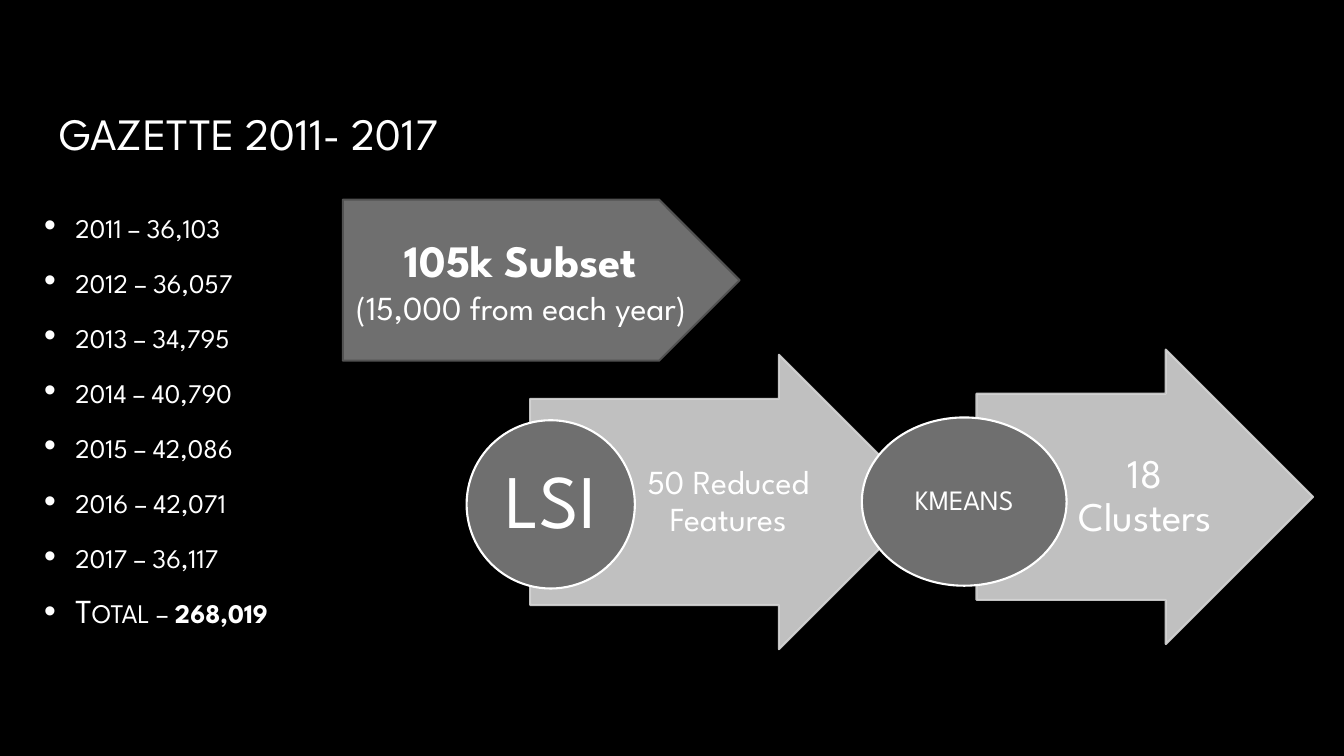
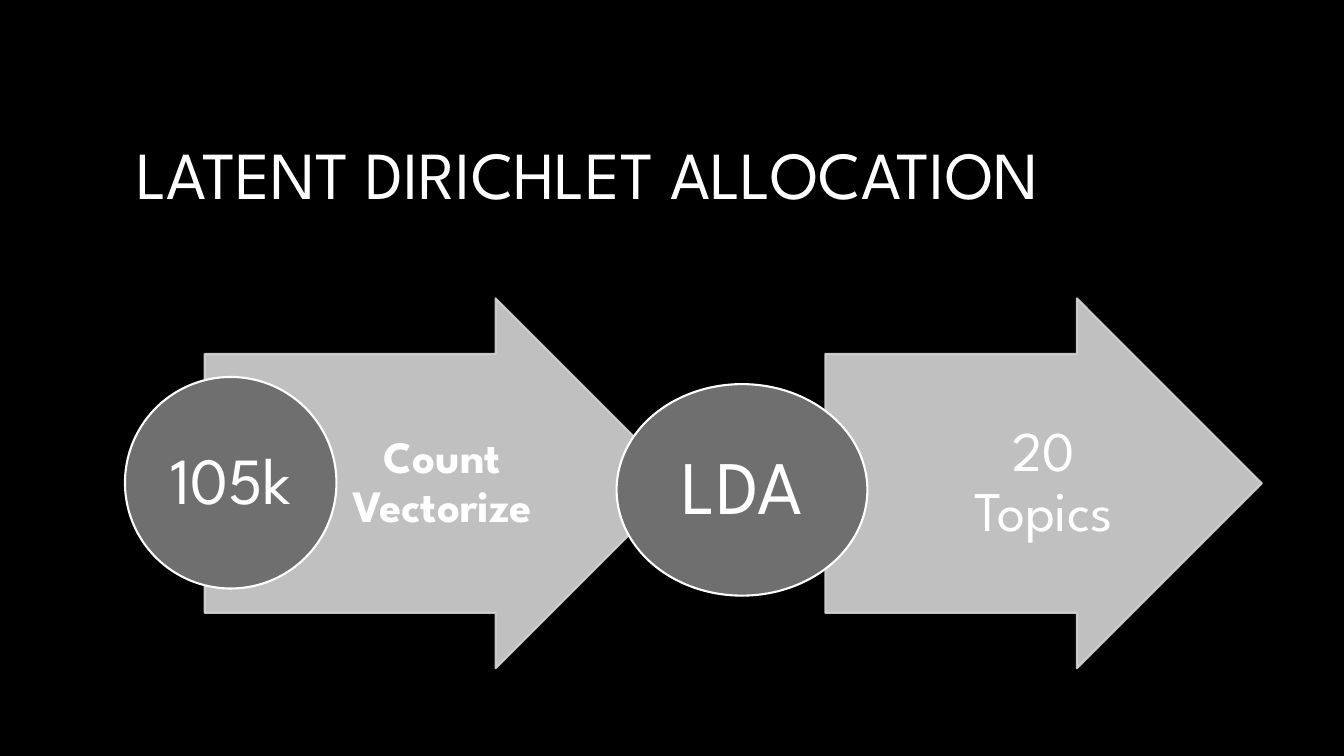
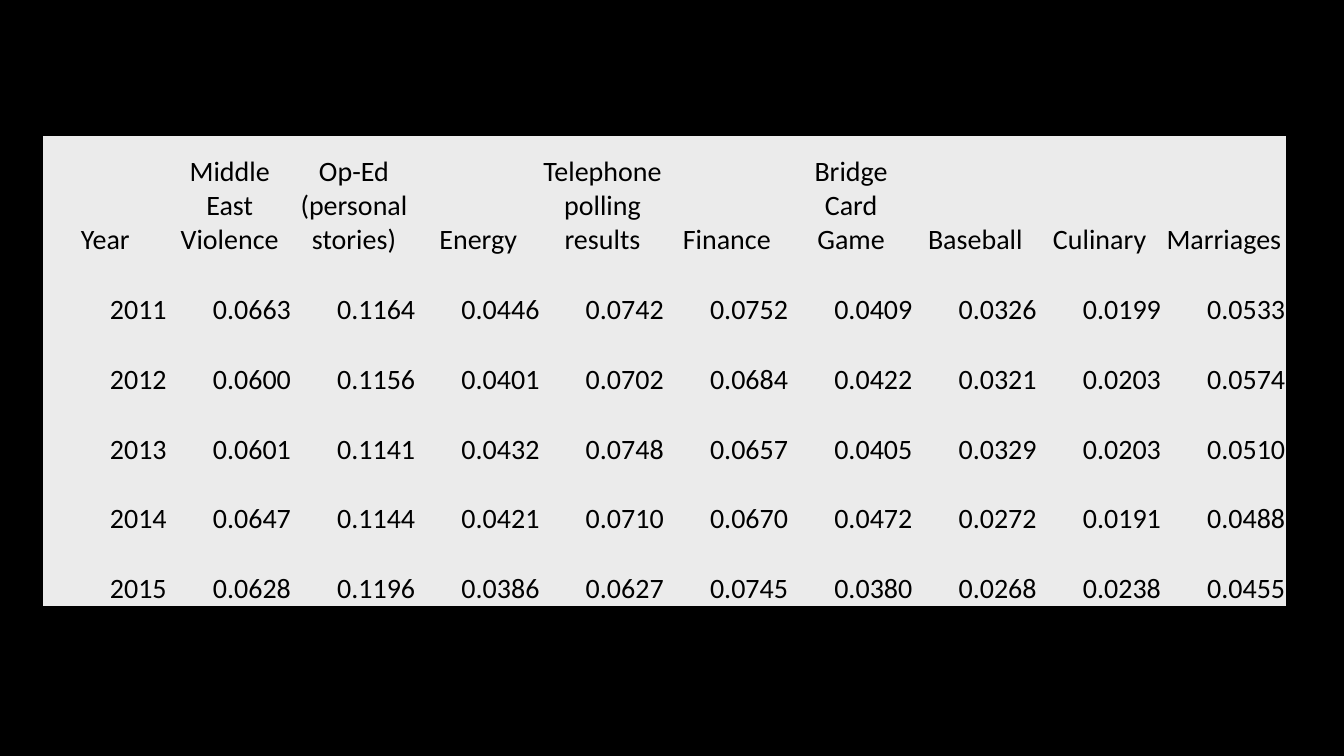
from lxml import etree
from pptx import Presentation
from pptx import util as u
from pptx.dml.color import RGBColor
from pptx.enum import shapes, text
from pptx.oxml.ns import qn

COLORS = {"bg": "000000", "text": "FFFFFF", "dark": "6F6F6F", "edge": "525252",
          "arrow": "D5D5D5", "cell": "EBEBEB", "cell_text": "000000"}
C = {name: RGBColor.from_string(value) for name, value in COLORS.items()}
FONT = "League Spartan"
SHAPE = shapes.MSO_SHAPE
CENTER, RIGHT = text.PP_ALIGN.CENTER, text.PP_ALIGN.RIGHT
NO_STYLE = "{2D5ABB26-0587-4C30-8999-92F81FD0307C}"


def write(tf, lines, align=None, spacing=None, margins=None):
    """Fill a text frame; each line is a list of (text, size, bold) runs."""
    frame = {"word_wrap": True, "vertical_anchor": text.MSO_ANCHOR.MIDDLE}
    if margins:
        sides = ("margin_left", "margin_top", "margin_right", "margin_bottom")
        frame.update(zip(sides, map(u.Cm, margins)))
    for name, value in frame.items():
        setattr(tf, name, value)
    for i, runs in enumerate(lines):
        p = tf.paragraphs[0] if i == 0 else tf.add_paragraph()
        p.alignment, p.line_spacing = align, spacing
        for words, size, bold in runs:
            r = p.add_run()
            r.text = words
            for name, value in {"name": FONT, "size": u.Pt(size), "bold": bold}.items():
                setattr(r.font, name, value)
            r.font.color.rgb = C["text"]


def add_shape(s, kind, box, fill, line, alpha=None):
    """Add a filled and outlined preset shape, see-through if alpha is given."""
    sp = s.shapes.add_shape(kind, *map(u.Cm, box))
    sp.shadow.inherit = False
    sp.line.width = u.Pt(1.5)
    for paint, color in ((sp.fill, fill), (sp.line.fill, line)):
        paint.solid()
        paint.fore_color.rgb = C[color]
    if alpha:
        for clr in sp._element.spPr.iter(qn("a:srgbClr")):
            etree.SubElement(clr, qn("a:alpha")).set("val", str(alpha * 1000))
    return sp


prs = Presentation()
prs.slide_width, prs.slide_height = u.Cm(33.87), u.Cm(19.05)

# Titles, and steps as (arrow box, label, size, bold), (circle box, label, size)
decks = [
    {"title": ("GAZETTE 2011- 2017", 32, 1.24, 0.69),
     "steps": [
         ((13.36, 8.94, 9.98, 7.42), "50 Reduced Features", 24, False,
          (11.76, 10.59, 4.24, 4.24), "LSI", 54),
         ((24.61, 8.81, 8.48, 7.42), "18 Clusters", 29, False,
          (21.72, 10.52, 5.16, 4.24), "KMEANS", 20)]},
    {"title": ("LATENT DIRICHLET ALLOCATION", 48, 3.18, 1.7),
     "steps": [
         ((5.16, 7.52, 11.99, 9.32), "Count Vectorize", 32, True,
          (3.15, 9.5, 5.33, 5.33), "105k", 47),
         ((20.8, 7.52, 11, 9.32), "20 Topics", 40, False,
          (15.54, 9.68, 6.32, 5.33), "LDA", 54)]},
    {},
]

slides = []
for deck in decks:
    s = prs.slides.add_slide(prs.slide_layouts[6])
    s.background.fill.solid()
    s.background.fill.fore_color.rgb = C["bg"]
    slides.append(s)
    if "title" in deck:
        words, size, left, top = deck["title"]
        box = s.shapes.add_textbox(*map(u.Cm, (left, top, 27.5, 5.28)))
        write(box.text_frame, [[(words, size, False)]])
    for arrow, label, size, bold, circle, name, name_size in deck.get("steps", []):
        sp = add_shape(s, SHAPE.RIGHT_ARROW, arrow, "arrow", "arrow", 90)
        sp.adjustments[0], sp.adjustments[1] = 0.7, 0.5
        # The label covers the shaft, right of the circle
        x, y, w, h = arrow
        box = s.shapes.add_textbox(*map(u.Cm, (x + w / 4, y + 0.15 * h, 0.49 * w, 0.7 * h)))
        write(box.text_frame, [[(label, size, bold)]], CENTER, 0.9, (0.2, 0.05, 0.1, 0.05))
        sp = add_shape(s, SHAPE.OVAL, circle, "dark", "text")
        write(sp.text_frame, [[(name, name_size, False)]], CENTER, 0.9, (0.08,) * 4)

# Slide 1: article counts per year
counts = {"2011": "36,103", "2012": "36,057", "2013": "34,795", "2014": "40,790",
          "2015": "42,086", "2016": "42,071", "2017": "36,117"}
lines = [[(f"{year} – {count}", 24, False)] for year, count in counts.items()]
lines.append([("Total – ", 24, False), ("268,019", 24, True)])
tf = slides[0].shapes.add_textbox(*map(u.Cm, (0.86, 4.78, 8.26, 11.5))).text_frame
write(tf, lines)
for i, p in enumerate(tf.paragraphs):
    p.space_before, p.space_after = u.Pt(4.5 if i else 0), u.Pt(6)
    pPr = p._p.get_or_add_pPr()
    pPr.set("marL", str(u.Cm(0.79)))
    pPr.set("indent", str(-u.Cm(0.79)))
    etree.SubElement(pPr, qn("a:buFont")).set("typeface", "Arial")
    etree.SubElement(pPr, qn("a:buChar")).set("char", "•")
    for r in p.runs:
        r._r.get_or_add_rPr().set("cap", "small")

# Slide 1: sampled subset
sp = add_shape(slides[0], SHAPE.PENTAGON, (8.64, 5.03, 10, 4.06), "dark", "edge")
write(sp.text_frame, [[("105k Subset", 32, True)],
                      [("(15,000 from each year)", 24, False)]], CENTER)

# Slide 3: topic shares per year
rows = [
    ["Year", "Middle East Violence", "Op-Ed (personal stories)", "Energy",
     "Telephone polling results", "Finance", "Bridge Card Game", "Baseball",
     "Culinary", "Marriages"],
    "2011 0.0663 0.1164 0.0446 0.0742 0.0752 0.0409 0.0326 0.0199 0.0533".split(),
    "2012 0.0600 0.1156 0.0401 0.0702 0.0684 0.0422 0.0321 0.0203 0.0574".split(),
    "2013 0.0601 0.1141 0.0432 0.0748 0.0657 0.0405 0.0329 0.0203 0.0510".split(),
    "2014 0.0647 0.1144 0.0421 0.0710 0.0670 0.0472 0.0272 0.0191 0.0488".split(),
    "2015 0.0628 0.1196 0.0386 0.0627 0.0745 0.0380 0.0268 0.0238 0.0455".split(),
]
frame = slides[2].shapes.add_table(len(rows), len(rows[0]),
                                   *map(u.Cm, (1.09, 3.43, 31.32, 11.86)))
table = frame.table
table.first_row = table.horz_banding = False
table._tbl.tblPr.find(qn("a:tableStyleId")).text = NO_STYLE
cell_format = {"margin_left": u.Cm(0.02), "margin_top": u.Cm(0.02),
               "margin_right": u.Cm(0.02), "margin_bottom": 0,
               "vertical_anchor": text.MSO_ANCHOR.BOTTOM}
for i, row in enumerate(rows):
    table.rows[i].height = u.Cm(1.76 if i else 3.05)
    for j, value in enumerate(row):
        cell = table.cell(i, j)
        for name, setting in cell_format.items():
            setattr(cell, name, setting)
        cell.fill.solid()
        cell.fill.fore_color.rgb = C["cell"]
        p = cell.text_frame.paragraphs[0]
        p.alignment = RIGHT if i else CENTER
        r = p.add_run()
        r.text = value
        r.font.name, r.font.size = "Calibri", u.Pt(20)
        r.font.color.rgb = C["cell_text"]

prs.save("out.pptx")
